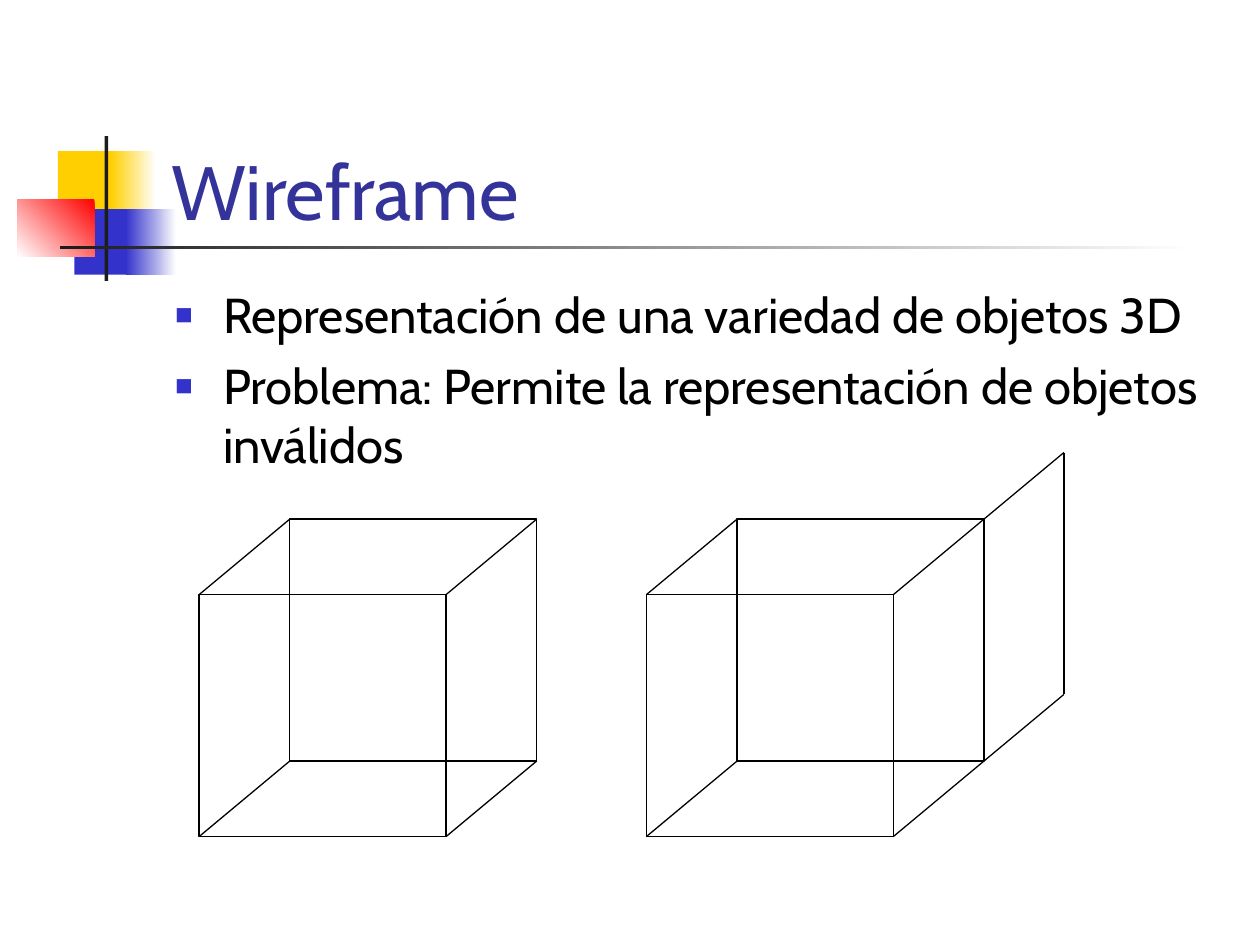
"""Build the Wireframe slide: a title, two bullets and two wireframe boxes."""
from lxml import etree
from pptx import Presentation
from pptx.dml.color import RGBColor
from pptx.enum.shapes import MSO_CONNECTOR, MSO_SHAPE
from pptx.enum.text import MSO_ANCHOR, MSO_AUTO_SIZE, PP_ALIGN
from pptx.oxml.ns import qn
from pptx.util import Inches, Pt

RECT, STRAIGHT = MSO_SHAPE.RECTANGLE, MSO_CONNECTOR.STRAIGHT
TOP, BOTTOM, LEFT = MSO_ANCHOR.TOP, MSO_ANCHOR.BOTTOM, PP_ALIGN.LEFT
NO_FIT = MSO_AUTO_SIZE.NONE

WHITE = RGBColor(0xFF, 0xFF, 0xFF)
BLACK = RGBColor(0, 0, 0)
YELLOW = RGBColor(0xFF, 0xCF, 0x01)
BLUE = RGBColor(0x33, 0x33, 0xCC)
RED = RGBColor(0xFF, 0, 0)
DARK = RGBColor(0x1C, 0x1C, 0x1C)
NAVY = RGBColor(0x33, 0x33, 0x99)
FONT = "Cabin"

TITLE = ["Wireframe"]
BULLETS = [
    "Representación de una variedad de objetos 3D",
    "Problema: Permite la representación de objetos inválidos",
]
ORNAMENTS = [
    ((0.46, 1.2, 0.48, 0.52), (YELLOW,), 0),
    ((0.88, 1.2, 0.36, 0.52), (WHITE, YELLOW), 180),
    ((0.59, 1.66, 0.46, 0.52), (BLUE,), 0),
    ((1, 1.66, 0.4, 0.52), (WHITE, BLUE), 180),
    ((0.14, 1.58, 0.61, 0.46), (RED, WHITE), 225),
    ((0.83, 1.08, 0.03, 1.15), (DARK,), 0),
    ((0.48, 1.95, 9, 0.03), (WHITE, DARK), 180),
]
BOX_W, BOX_H = 1.96, 1.92
DEPTH_X, DEPTH_Y = 0.72, 0.6
FRONT_TOP = 4.72
BOXES = [(1.58, 1), (5.13, 1.88)]  


def add_rect(shapes, box):
    sp = shapes.add_shape(RECT, *map(Inches, box))
    sp.shadow.inherit = False
    return sp


def add_ornament(shapes, box, colors, angle):
    sp = add_rect(shapes, box)
    sp.line.fill.background()
    if len(colors) == 1:
        sp.fill.solid()
        sp.fill.fore_color.rgb = colors[0]
        return
    sp.fill.gradient()
    sp.fill.gradient_angle = angle
    for stop, color, position in zip(sp.fill.gradient_stops, colors, (0, 1)):
        stop.color.rgb = color
        stop.position = position


def set_outline(sp):
    sp.line.color.rgb = BLACK
    sp.line.width = Pt(0.75)


def add_line(shapes, start, end):
    line = shapes.add_connector(STRAIGHT, *map(Inches, start + end))
    set_outline(line)
    etree.SubElement(line._element.spPr, qn("a:effectLst"))


def add_wireframe(slide, left, reach):
    shapes = slide.shapes.add_group_shape().shapes
    for x, y in ((left, FRONT_TOP), (left + DEPTH_X, FRONT_TOP - DEPTH_Y)):
        sp = add_rect(shapes, (x, y, BOX_W, BOX_H))
        sp.fill.background()
        set_outline(sp)
    right = left + BOX_W
    far_x, rise = right + DEPTH_X * reach, DEPTH_Y * reach
    for y in (FRONT_TOP, FRONT_TOP + BOX_H):
        add_line(shapes, (left + DEPTH_X, y - DEPTH_Y), (left, y))
        add_line(shapes, (far_x, y - rise), (right, y))
    if reach > 1:
        far_y = FRONT_TOP - rise
        add_line(shapes, (far_x, far_y), (far_x, far_y + BOX_H))


def add_bullet(p):
    pPr = p._p.get_or_add_pPr()
    pPr.set("marL", str(Inches(0.38)))
    pPr.set("indent", str(-Inches(0.38)))
    color = etree.SubElement(pPr, qn("a:buClr"))
    etree.SubElement(color, qn("a:srgbClr"), val=str(BLUE))
    etree.SubElement(pPr, qn("a:buSzPct"), val="60000")
    etree.SubElement(pPr, qn("a:buChar"), char="■")


def write_text(sp, lines, *, box, size, color, anchor, before=0, bullet=False):
    sp.left, sp.top, sp.width, sp.height = map(Inches, box)
    tf = sp.text_frame
    tf.word_wrap, tf.auto_size, tf.vertical_anchor = True, NO_FIT, anchor
    for i, line in enumerate(lines):
        p = tf.add_paragraph() if i else tf.paragraphs[0]
        p.alignment, p.space_before = LEFT, Pt(before)
        r = p.add_run()
        r.text = line
        r.font.name, r.font.size, r.font.color.rgb = FONT, Pt(size), color
        if bullet:
            add_bullet(p)


def main():
    prs = Presentation()
    prs.slide_width, prs.slide_height = Inches(10), Inches(7.5)
    s = prs.slides.add_slide(prs.slide_layouts[1])
    title, body = s.shapes.title, s.placeholders[1]
    for ornament in ORNAMENTS:
        add_ornament(s.shapes, *ornament)
    for sp in (title, body):
        s.shapes._spTree.append(sp._element)
    write_text(title, TITLE, box=(1.26, 0.67, 8.52, 1.25), size=44,
               color=NAVY, anchor=BOTTOM)
    write_text(body, BULLETS, box=(1.29, 2.21, 8.5, 4.5), size=28,
               color=BLACK, anchor=TOP, before=7, bullet=True)
    for left, reach in BOXES:
        add_wireframe(s, left, reach)
    prs.save("out.pptx")


if __name__ == "__main__":
    main()
